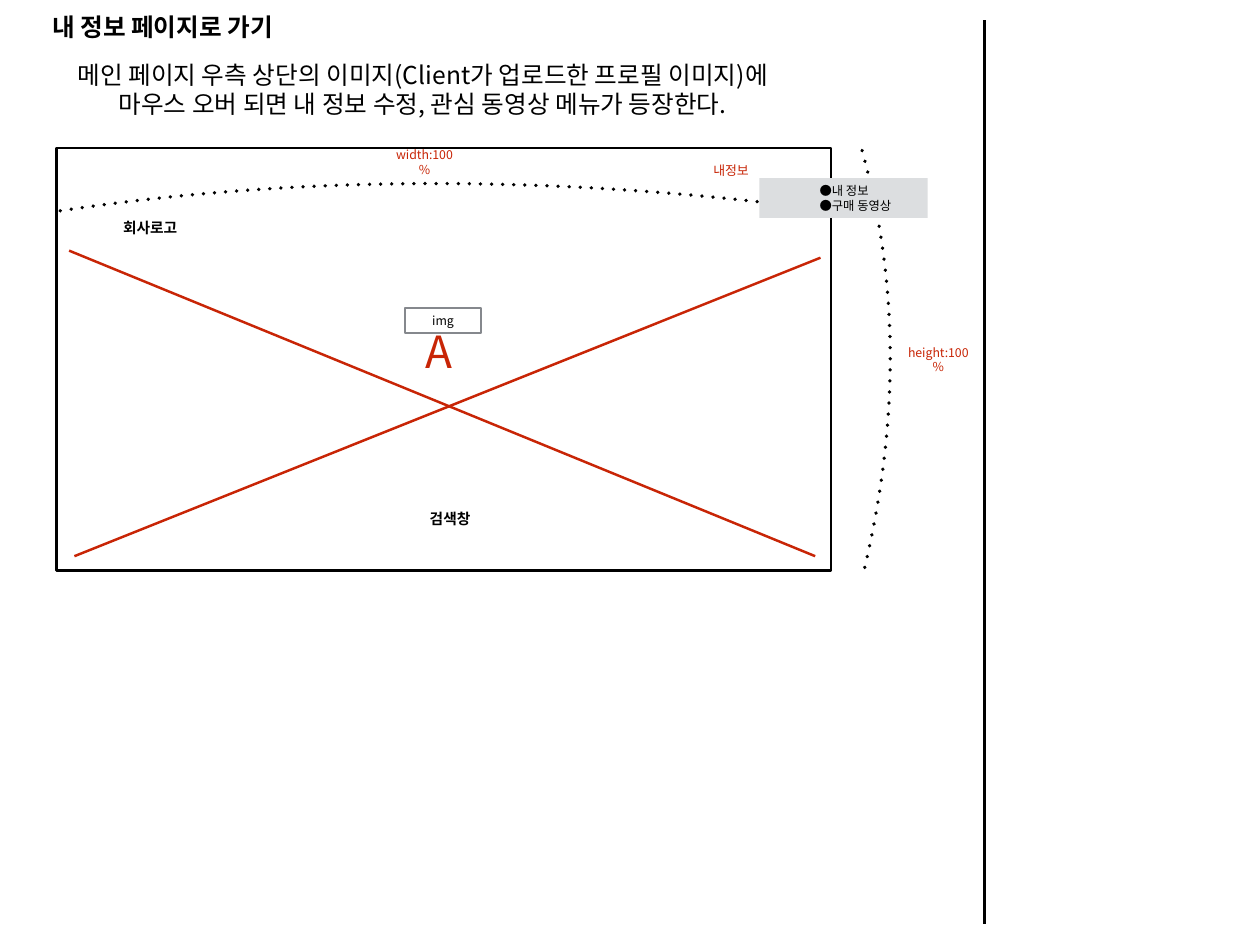
from lxml import etree
from pptx import Presentation
from pptx.dml.color import RGBColor
from pptx.enum.shapes import MSO_CONNECTOR, MSO_SHAPE
from pptx.enum.text import MSO_ANCHOR, PP_ALIGN
from pptx.oxml.ns import qn
from pptx.util import Pt

PX = 9144
INSET = 6 * PX
FONT = "Noto Sans CJK KR"
BLACK, RED, GREY, SILVER = "000000", "C82506", "85888D", "DCDEE0"
CENTER, LEFT = PP_ALIGN.CENTER, PP_ALIGN.LEFT
MIDDLE = MSO_ANCHOR.MIDDLE
RECTANGLE, STRAIGHT = MSO_SHAPE.RECTANGLE, MSO_CONNECTOR.STRAIGHT


def rgb(value):
    return RGBColor.from_string(value)


def write(shape, text, size=10, color=BLACK, bold=False, align=CENTER, wrap=True, bullet=None):
    frame = shape.text_frame
    frame.word_wrap = wrap
    frame.vertical_anchor = MIDDLE
    frame.margin_left = frame.margin_right = frame.margin_top = frame.margin_bottom = INSET
    for index, line in enumerate(text.split("\n")):
        paragraph = frame.add_paragraph() if index else frame.paragraphs[0]
        paragraph.alignment = align
        if bullet:
            properties = paragraph._p.get_or_add_pPr()
            properties.set("marL", str(76 * PX))
            properties.set("indent", str(-14 * PX))
            etree.SubElement(properties, qn("a:buFont"), typeface=FONT)
            etree.SubElement(properties, qn("a:buChar"), char=bullet)
        run = paragraph.add_run()
        run.text = line
        run.font.size = Pt(size)
        run.font.bold = bold
        run.font.color.rgb = rgb(color)
        run.font.name = FONT
        etree.SubElement(run._r.get_or_add_rPr(), qn("a:ea"), typeface=FONT)


prs = Presentation()
prs.slide_width, prs.slide_height = 1422 * PX, 1067 * PX
slide = prs.slides.add_slide(prs.slide_layouts[6])
shapes = slide.shapes

page_frame = shapes.add_shape(RECTANGLE, 64 * PX, 167 * PX, 874 * PX, 477 * PX)
page_frame.shadow.inherit = False
page_frame.fill.background()
page_frame.line.color.rgb = rgb(BLACK)
page_frame.line.width = Pt(2)

width_arc = [(68, 238), (342, 197), (633, 197), (939, 238)]
height_arc = [(973, 170), (1015, 320), (1015, 478), (975, 645)]
for arc in (width_arc, height_arc):
    points = []
    for step in range(41):
        t = step / 40
        weights = ((1 - t) ** 3, 3 * t * (1 - t) ** 2, 3 * t * t * (1 - t), t ** 3)
        points.append(tuple(
            round(PX * sum(w * point[axis] for w, point in zip(weights, arc)))
            for axis in (0, 1)))
    builder = shapes.build_freeform(*points[0])
    builder.add_line_segments(points[1:], close=False)
    measure = builder.convert_to_shape()
    measure.shadow.inherit = False
    measure.fill.background()
    measure.line.color.rgb = rgb(BLACK)
    measure.line.width = Pt(3)
    outline = measure.line._get_or_add_ln()
    outline.set("cap", "rnd")
    dash = etree.SubElement(outline, qn("a:custDash"))
    etree.SubElement(dash, qn("a:ds"), d="100000", sp="200000")

for x1, y1, x2, y2, color in (
    (1111, 1043, 1111, 23, BLACK),
    (84, 628, 926, 291, RED),
    (920, 628, 78, 283, RED),
):
    rule = shapes.add_connector(STRAIGHT, x1 * PX, y1 * PX, x2 * PX, y2 * PX)
    rule.line.color.rgb = rgb(color)
    rule.line.width = Pt(2)
    etree.SubElement(rule._element.spPr, qn("a:effectLst"))

description = ("메인 페이지 우측 상단의 이미지(Client가 업로드한 프로필 이미지)에\n"
               "마우스 오버 되면 내 정보 수정, 관심 동영상 메뉴가 등장한다.")
for left, top, width, height, text, style in (
    (18, 8, 331, 45, "내 정보 페이지로 가기", dict(size=20, bold=True)),
    (60, 61, 834, 79, description, dict(size=20, wrap=False)),
    (438, 169, 82, 28, "width:100%", dict(color=RED)),
    (1016, 392, 86, 28, "height:100%", dict(color=RED)),
    (473, 360, 44, 71, "A", dict(size=36, color=RED, wrap=False)),
    (130, 242, 79, 31, "회사로고", dict(size=12, bold=True, wrap=False)),
    (479, 570, 197, 31, "검색창", dict(size=12, bold=True, align=LEFT)),
    (796, 177, 58, 30, "내정보", dict(size=10.5, color=RED, wrap=False)),
):
    write(shapes.add_textbox(left * PX, top * PX, width * PX, height * PX), text, **style)

image = shapes.add_shape(RECTANGLE, 457 * PX, 348 * PX, 86 * PX, 28 * PX)
image.shadow.inherit = False
image.fill.background()
image.line.color.rgb = rgb(GREY)
image.line.width = Pt(2)
write(image, "img")

menu = shapes.add_shape(RECTANGLE, 857 * PX, 201 * PX, 190 * PX, 45 * PX)
menu.shadow.inherit = False
menu.fill.solid()
menu.fill.fore_color.rgb = rgb(SILVER)
menu.line.fill.background()
write(menu, "내 정보\n구매 동영상", align=LEFT, bullet="●")

prs.save("out.pptx")
